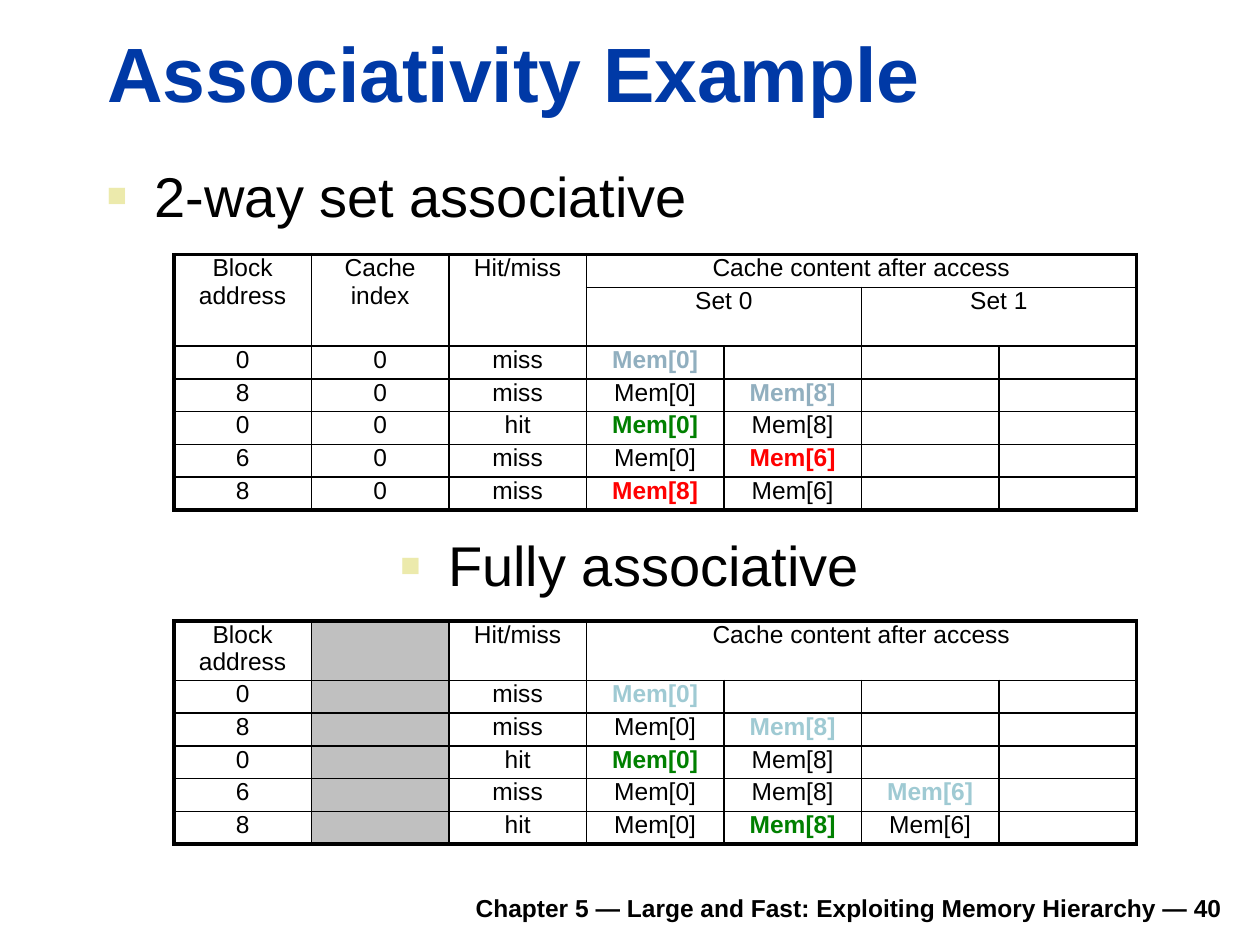
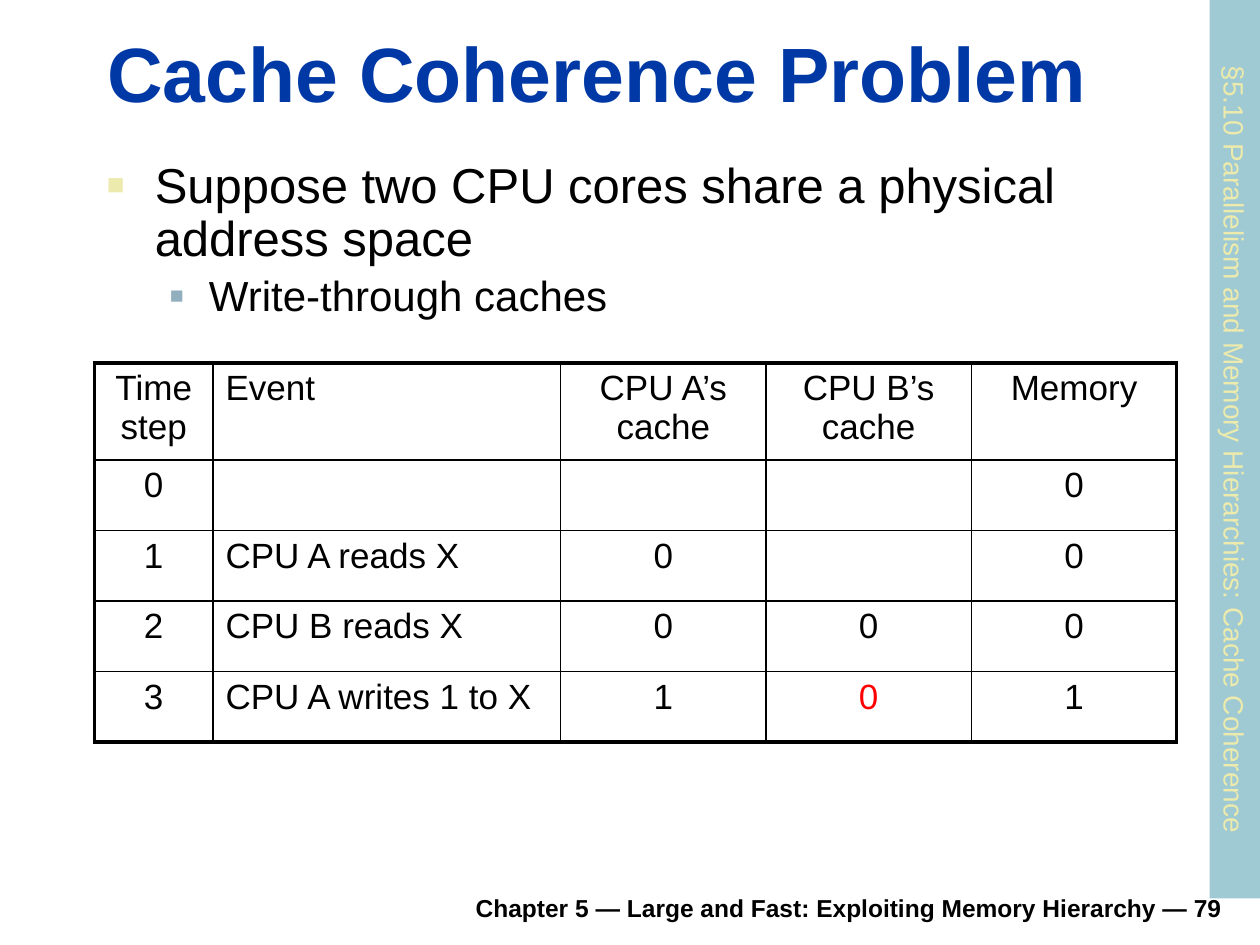
from dataclasses import dataclass
from lxml import etree
from pptx import Presentation
from pptx import util as u
from pptx.dml.color import RGBColor
from pptx.enum import shapes, text
from pptx.oxml import ns


# Theme: colours and type sizes
@dataclass(frozen=True)
class Theme:
    font: str = "Arial"
    ink: str = "000000"
    title: str = "0039A6"
    sand: str = "ECEAAC"
    slate: str = "91AFBF"
    aqua: str = "9FCAD3"
    hit: str = "008000"
    red: str = "FF0000"
    grey: str = "C0C0C0"
    head: int = 44
    big: int = 32
    mid: int = 28
    sub: int = 24
    cell: int = 20
    band: int = 16
    small: int = 14


T = Theme()
WIDE, HIGH = 10, 7.5
LEFT = 0.075 * WIDE
THICK, THIN = 2.25, 1
FOOT = "Chapter 5 — Large and Fast: Exploiting Memory Hierarchy — "
AL = text.PP_ALIGN
# Bullet levels: left edge, hanging indent, colour, size in percent
LEVELS = [(0.38, 0.38, T.sand, 60), (0.81, 0.31, T.slate, 55)]

# Content: a cell is its text, or a text with its colour
AFTER = "Cache content after access"
TWO_WAY = [
    ["Block address", "Cache index", "Hit/miss", AFTER, "", "", ""],
    ["", "", "", "Set 0", "", "Set 1", ""],
    ["0", "0", "miss", ("Mem[0]", T.slate), "", "", ""],
    ["8", "0", "miss", "Mem[0]", ("Mem[8]", T.slate), "", ""],
    ["0", "0", "hit", ("Mem[0]", T.hit), "Mem[8]", "", ""],
    ["6", "0", "miss", "Mem[0]", ("Mem[6]", T.red), "", ""],
    ["8", "0", "miss", ("Mem[8]", T.red), "Mem[6]", "", ""],
]
FULL = [
    ["Block address", "", "Hit/miss", AFTER, "", "", ""],
    ["0", "", "miss", ("Mem[0]", T.aqua), "", "", ""],
    ["8", "", "miss", "Mem[0]", ("Mem[8]", T.aqua), "", ""],
    ["0", "", "hit", ("Mem[0]", T.hit), "Mem[8]", "", ""],
    ["6", "", "miss", "Mem[0]", "Mem[8]", ("Mem[6]", T.aqua), ""],
    ["8", "", "hit", "Mem[0]", ("Mem[8]", T.hit), "Mem[6]", ""],
]
STEPS = [
    ["Time step", "Event", "CPU A’s cache", "CPU B’s cache", "Memory"],
    ["0", "", "", "", "0"],
    ["1", "CPU A reads X", "0", "", "0"],
    ["2", "CPU B reads X", "0", "0", "0"],
    ["3", "CPU A writes 1 to X", "1", ("0", T.red), "1"],
]
# Merged areas: first row and column, last row and column
TWO_SPANS = [(0, 0, 1, 0), (0, 1, 1, 1), (0, 2, 1, 2),
             (0, 3, 0, 6), (1, 3, 1, 4), (1, 5, 1, 6)]
FULL_SPANS = [(0, 3, 0, 6)]
MEM = {"cols": [7.64 / 7] * 7, "size": T.small, "pad": 0, "bold": True}

PAGES = [
    {"title": "Associativity Example", "num": "40",
     "lists": [
         {"box": (LEFT, 1.23, 9.05, 0.79),
          "items": [("2-way set associative", 0, T.big)]},
         {"box": (LEFT, 4.22, 8.5, 0.63), "align": AL.CENTER, "gap": 90,
          "items": [("Fully associative", 0, T.big)]}],
     "tables": [
         {"at": (1.38, 2.02), "rows": [0.26] * 7, "data": TWO_WAY,
          "spans": TWO_SPANS, **MEM},
         {"at": (1.38, 4.93), "rows": [0.47] + [0.26] * 5, "data": FULL,
          "spans": FULL_SPANS, "shade": 1, **MEM}]},
    {"title": "Cache Coherence Problem", "num": "79",
     "band": "§5.10 Parallelism and Memory Hierarchies: Cache Coherence",
     "lists": [
         {"box": (LEFT, 1.23, 9.05, 1.49), "gap": 90,
          "items": [("Suppose two CPU cores share a physical address space",
                     0, T.mid),
                    ("Write-through caches", 1, T.sub)]}],
     "tables": [
         {"at": (LEFT, 2.88), "cols": [0.94, 2.76] + [1.63] * 3,
          "rows": [0.77] + [0.56] * 4, "data": STEPS, "size": T.cell,
          "pad": 0.05, "left": 1}]},
]


# Helpers
def box(nums):
    return [u.Inches(n) for n in nums]


def node(top, tag, **keys):
    return etree.SubElement(top, ns.qn("a:" + tag), keys)


def run(par, words, size, tint=T.ink, bold=False):
    font = (r := par.add_run()).font
    r.text = words
    font.name, font.size, font.bold = T.font, u.Pt(size), bold
    font.color.rgb = RGBColor.from_string(tint)


def space(par, gap=None):
    """Line spacing and space before, both in percent."""
    props = par._p.get_or_add_pPr()
    if gap:
        node(node(props, "lnSpc"), "spcPct", val=str(gap * 1000))
    node(node(props, "spcBef"), "spcPct", val="20000")
    return props


def bullet(par, level, gap):
    left, hang, tint, share = LEVELS[level]
    par.level = level
    props = space(par, gap)
    props.set("marL", str(u.Inches(left)))
    props.set("indent", str(-u.Inches(hang)))
    node(node(props, "buClr"), "srgbClr", val=tint)
    node(props, "buSzPct", val=str(share * 1000))
    node(props, "buFont", typeface=T.font)
    node(props, "buChar", char="■")


def edge(cell, sides):
    """Draw the four borders, ahead of the fill."""
    props = cell._tc.get_or_add_tcPr()
    for i, (side, width) in enumerate(sides):
        line = node(props, "ln" + side, w=str(u.Pt(width)))
        node(node(line, "solidFill"), "srgbClr", val=T.ink)
        props.insert(i, line)


# Parts of a slide
def add_foot(slide, num):
    frame = slide.shapes.add_textbox(*box((1.85, 6.98, 7.95, 0.39))).text_frame
    frame.word_wrap = True
    frame.vertical_anchor = text.MSO_ANCHOR.BOTTOM
    par = frame.paragraphs[0]
    par.alignment = AL.RIGHT
    run(par, FOOT + num, T.small, bold=True)


def set_title(slide, words):
    shape = slide.shapes.title
    shape.left, shape.top, shape.width, shape.height = box(
        (LEFT, 0.16, 9.03, 0.83))
    frame = shape.text_frame
    frame.vertical_anchor = text.MSO_ANCHOR.BOTTOM
    frame.auto_size = text.MSO_AUTO_SIZE.SHAPE_TO_FIT_TEXT
    par = frame.paragraphs[0]
    par.alignment = AL.LEFT
    run(par, words, T.head, T.title, True)


def add_list(slide, part):
    frame = slide.shapes.add_textbox(*box(part["box"])).text_frame
    frame.word_wrap = True
    for i, (words, level, size) in enumerate(part["items"]):
        par = frame.add_paragraph() if i else frame.paragraphs[0]
        par.alignment = part.get("align", AL.LEFT)
        bullet(par, level, part.get("gap"))
        run(par, words, size)


def add_band(slide, words):
    long, thick = 7.13, 0.4
    mid = WIDE - thick / 2
    shape = slide.shapes.add_shape(
        shapes.MSO_SHAPE.RECTANGLE,
        *box((mid - long / 2, (long - thick) / 2, long, thick)))
    shape.rotation = 90
    shape.shadow.inherit = False
    shape.fill.solid()
    shape.fill.fore_color.rgb = RGBColor.from_string(T.aqua)
    shape.line.fill.background()
    frame = shape.text_frame
    frame.word_wrap = False
    par = frame.paragraphs[0]
    par.alignment = AL.CENTER
    run(par, words, T.band, T.sand)


def fill_cell(cell, item, part, col):
    words, tint = item if isinstance(item, tuple) else (item, T.ink)
    cell.margin_left = cell.margin_right = u.Inches(0.1)
    cell.margin_top = cell.margin_bottom = u.Inches(part["pad"])
    if col == part.get("shade"):
        cell.fill.solid()
        cell.fill.fore_color.rgb = RGBColor.from_string(T.grey)
    else:
        cell.fill.background()
    par = cell.text_frame.paragraphs[0]
    par.alignment = AL.LEFT if col == part.get("left") else AL.CENTER
    space(par)
    if words:
        run(par, words, part["size"], tint,
            part.get("bold", False) and tint != T.ink)
    else:
        node(par._p, "endParaRPr", sz=str(part["size"] * 100))


def add_grid(slide, part):
    cols, rows = part["cols"], part["rows"]
    grid = slide.shapes.add_table(
        len(rows), len(cols),
        *box((*part["at"], sum(cols), sum(rows)))).table
    grid.first_row = grid.horz_banding = False
    for col, width in zip(grid.columns, cols):
        col.width = u.Inches(width)
    for row, height in zip(grid.rows, rows):
        row.height = u.Inches(height)
    ends = {(a, b): (c, d) for a, b, c, d in part.get("spans", [])}
    for (a, b), (c, d) in ends.items():
        grid.cell(a, b).merge(grid.cell(c, d))
    for r, line in enumerate(part["data"]):
        for c, item in enumerate(line):
            cell = grid.cell(r, c)
            fill_cell(cell, item, part, c)
            low, far = ends.get((r, c), (r, c))
            outer = [("L", c == 0), ("R", far == len(cols) - 1),
                     ("T", r == 0), ("B", low == len(rows) - 1)]
            edge(cell, [(s, THICK if out else THIN) for s, out in outer])


# Build the slides
deck = Presentation()
deck.slide_width, deck.slide_height = box((WIDE, HIGH))
for page in PAGES:
    slide = deck.slides.add_slide(deck.slide_layouts.get_by_name("Title Only"))
    add_foot(slide, page["num"])
    set_title(slide, page["title"])
    for part in page["lists"]:
        add_list(slide, part)
    if "band" in page:
        add_band(slide, page["band"])
    for part in page["tables"]:
        add_grid(slide, part)
deck.save("out.pptx")
